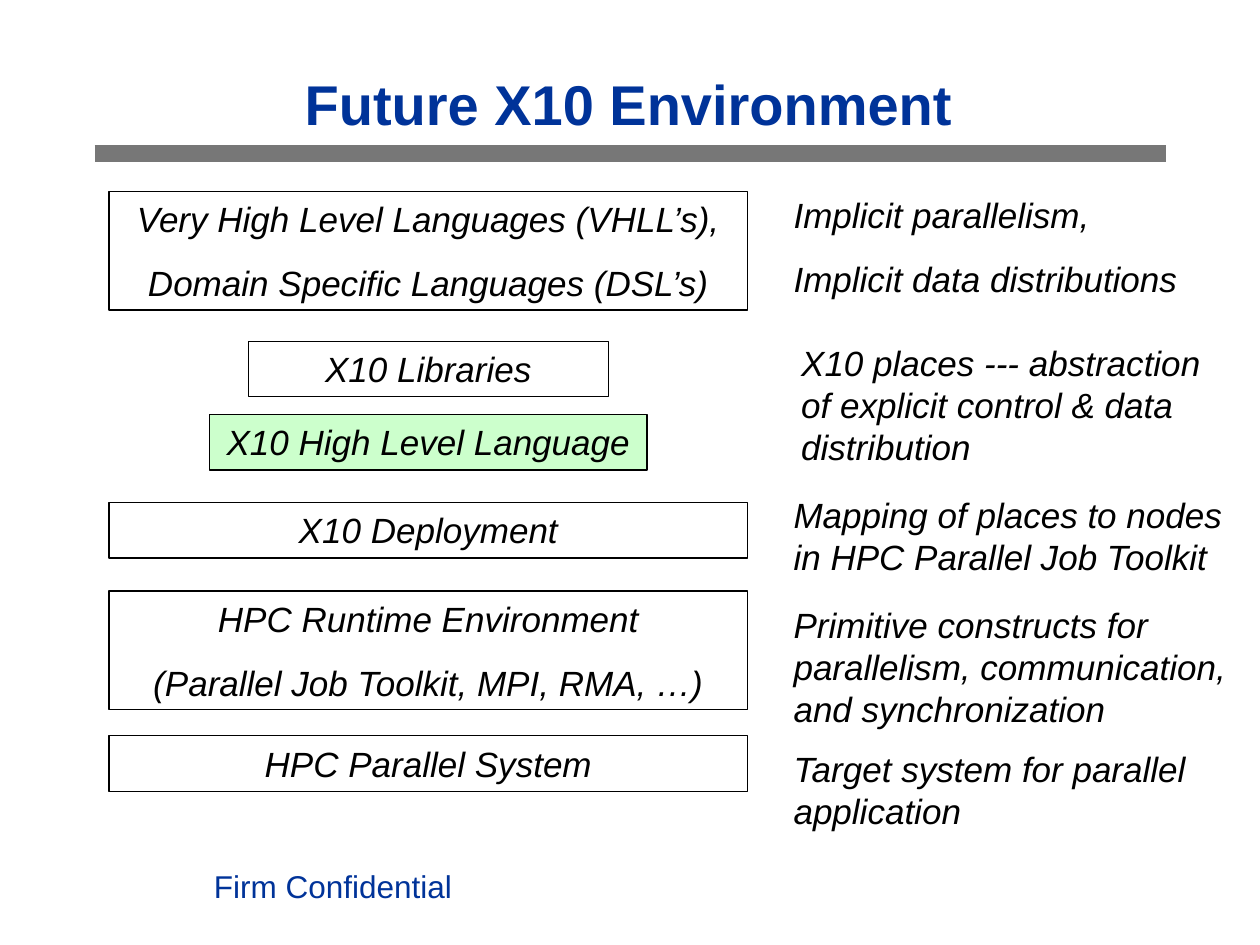
import pptx
import pptx.util
import pptx.dml.color
import pptx.enum.shapes
import pptx.enum.text
import pptx.oxml.ns
from lxml import etree

Inches, Pt = pptx.util.Inches, pptx.util.Pt
ALIGN = pptx.enum.text.PP_ALIGN
ANCHOR = pptx.enum.text.MSO_ANCHOR

COLORS = {"text": "000000", "accent": "003399", "bar": "777777", "highlight": "CCFFCC"}
FONT = "Arial"

TITLE = "Future X10 Environment"
FOOTER = "Firm Confidential"

# Stack of layers: top, width, fill, lines
LAYERS = [
    (1.52, 5.07, None, ["Very High Level Languages (VHLL’s),", "Domain Specific Languages (DSL’s)"]),
    (2.71, 2.86, None, ["X10 Libraries"]),
    (3.29, 3.47, "highlight", ["X10 High Level Language"]),
    (3.99, 5.07, None, ["X10 Deployment"]),
    (4.69, 5.07, None, ["HPC Runtime Environment", "(Parallel Job Toolkit, MPI, RMA, …)"]),
    (5.84, 5.07, None, ["HPC Parallel System"]),
]
STACK_CENTER = 3.4
LAYER_HEIGHTS = {1: 0.44, 2: 0.94}

# Notes beside the stack: left, top, width, height, lines
NOTES = [
    (6.2, 1.49, 5.07, 0.94, ["Implicit parallelism,", "Implicit data distributions"]),
    (6.26, 2.66, 3.41, 1.1, ["X10 places --- abstraction of explicit control & data distribution"]),
    (6.2, 3.87, 3.8, 0.77, ["Mapping of places to nodes in HPC Parallel Job Toolkit"]),
    (6.2, 4.74, 3.8, 1.1, ["Primitive constructs for parallelism, communication, and synchronization"]),
    (6.2, 5.88, 3.8, 0.77, ["Target system for parallel application"]),
]


def rgb(name):
    return pptx.dml.color.RGBColor.from_string(COLORS[name])


def write(sp, lines, size=20, color="text", align=ALIGN.LEFT, anchor=ANCHOR.TOP,
          bold=False, italic=False):
    tf = sp.text_frame
    tf.word_wrap = True
    tf.vertical_anchor = anchor
    for i, line in enumerate(lines):
        p = tf.paragraphs[0] if i == 0 else tf.add_paragraph()
        p.alignment = align
        p.space_before = Pt(12.5 if i else 0)
        r = p.add_run()
        r.text = line
        r.font.name, r.font.size = FONT, Pt(size)
        r.font.bold, r.font.italic = bold, italic
        r.font.color.rgb = rgb(color)


def add_text(s, left, top, width, height, lines, **style):
    box = s.shapes.add_textbox(Inches(left), Inches(top), Inches(width), Inches(height))
    write(box, lines, **style)


def add_layer(s, top, width, fill, lines):
    sp = s.shapes.add_shape(
        pptx.enum.shapes.MSO_SHAPE.RECTANGLE, Inches(STACK_CENTER - width / 2),
        Inches(top), Inches(width), Inches(LAYER_HEIGHTS[len(lines)]))
    sp.shadow.inherit = False
    if fill:
        sp.fill.solid()
        sp.fill.fore_color.rgb = rgb(fill)
    else:
        sp.fill.background()
    sp.line.color.rgb = rgb("text")
    sp.line.width = Pt(0.75)
    write(sp, lines, align=ALIGN.CENTER, italic=True)


def main():
    prs = pptx.Presentation()
    prs.slide_width, prs.slide_height = Inches(10), Inches(7.5)
    s = prs.slides.add_slide(prs.slide_layouts[5])

    # Title and the bar under it
    title = s.shapes.title
    title.left, title.top = Inches(1.54), Inches(0.5)
    title.width, title.height = Inches(6.9), Inches(0.63)
    write(title, [TITLE], size=32, color="accent", align=ALIGN.CENTER,
          anchor=ANCHOR.MIDDLE, bold=True)
    bar = s.shapes.add_connector(pptx.enum.shapes.MSO_CONNECTOR.STRAIGHT,
                                 Inches(0.75), Inches(1.22), Inches(9.25), Inches(1.22))
    bar.line.color.rgb = rgb("bar")
    bar.line.width = Pt(10)
    etree.SubElement(bar._element.spPr, pptx.oxml.ns.qn("a:effectLst"))

    # Layers and notes
    for layer in LAYERS:
        add_layer(s, *layer)
    for note in NOTES:
        add_text(s, *note, italic=True)

    # Footer
    add_text(s, 1.6, 6.83, 6.96, 0.5, [FOOTER], size=18, color="accent")
    prs.save("out.pptx")


if __name__ == "__main__":
    main()
